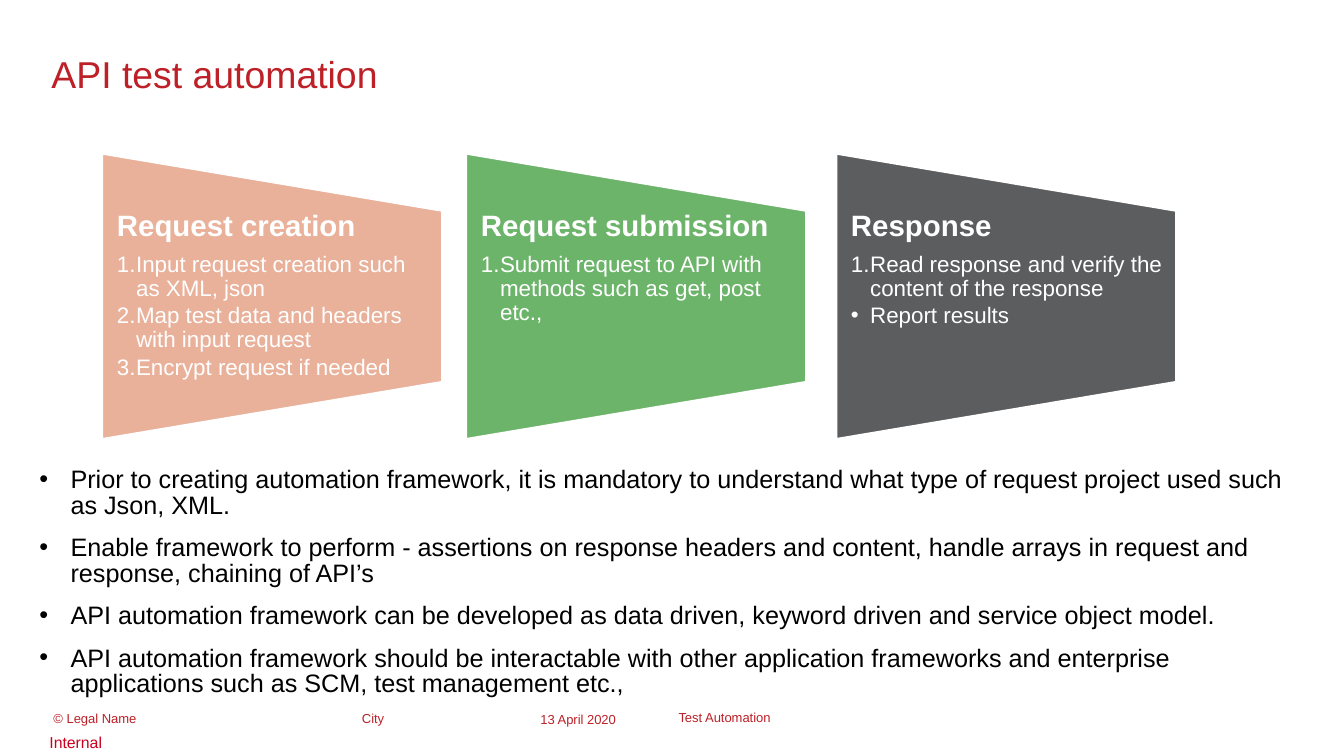
from dataclasses import dataclass
from lxml import etree
from pptx import Presentation
from pptx.dml.color import RGBColor
from pptx.enum.shapes import MSO_SHAPE
from pptx.enum.text import MSO_ANCHOR, MSO_AUTO_SIZE, PP_ALIGN
from pptx.oxml.ns import qn
from pptx.util import Inches, Pt

FUNNEL = MSO_SHAPE.FLOWCHART_MANUAL_OPERATION
TOP, MIDDLE = MSO_ANCHOR.TOP, MSO_ANCHOR.MIDDLE
NO_FIT = MSO_AUTO_SIZE.NONE
LEFT = PP_ALIGN.LEFT
NUMBER, DOT = "1.", "•"


@dataclass(frozen=True)
class Theme:
    face: str = "Arial"
    red: str = "BD2027"
    label: str = "CA001F"
    white: str = "FFFFFF"
    black: str = "000000"
    peach: str = "E9B09A"
    green: str = "6DB46B"
    grey: str = "5C5D5F"
    title: float = 26.7
    head: float = 21
    item: float = 16
    body: float = 18
    foot: float = 9.3
    mark: float = 11.3


THEME = Theme()


def style(size, color, bold=False, space=0, line=1.0, bullet=None, indent=(0, 0)):
    return {
        "font": {"name": THEME.face, "size": Pt(size), "bold": bold},
        "para": {"alignment": LEFT, "space_before": Pt(0),
                 "space_after": Pt(space), "line_spacing": line},
        "color": color, "bullet": bullet, "indent": indent,
    }


TITLE = style(THEME.title, THEME.red)
HEAD = style(THEME.head, THEME.white, bold=True, space=7.4, line=0.9)
STEP = style(THEME.item, THEME.white, space=2.4, line=0.9,
             bullet=NUMBER, indent=(0.19, -0.19))
POINT = {**STEP, "bullet": DOT}
BODY = style(THEME.body, THEME.black, space=12, line=0.85,
             bullet=DOT, indent=(0.37, -0.31))
FOOT = style(THEME.foot, THEME.red)
LEGAL = style(THEME.foot, THEME.red, line=0.96, indent=(0.02, 0))
MARK = style(THEME.mark, THEME.label)

# Left edge, colour, heading and items of each stage
STAGES = [
    (1.01, THEME.peach, "Request creation", [
        ("Input request creation such as XML, json", STEP),
        ("Map test data and headers with input request", STEP),
        ("Encrypt request if needed", STEP)]),
    (4.62, THEME.green, "Request submission", [
        ("Submit request to API with methods such as get, post etc.,", STEP)]),
    (8.29, THEME.grey, "Response", [
        ("Read response and verify the content of the response", STEP),
        ("Report results", POINT)]),
]

NOTES = [
    "Prior to creating automation framework, it is mandatory to understand "
    "what type of request project used such as Json, XML.",
    "Enable framework to perform - assertions on response headers and content, "
    "handle arrays in request and response, chaining of API’s",
    "API automation framework can be developed as data driven, keyword driven "
    "and service object model.",
    "API automation framework should be interactable with other application "
    "frameworks and enterprise applications such as SCM, test management etc.,",
]

# Text, left, width, style and anchor of each footer part
FOOTER = [
    ("© Legal Name", 0.51, 2.88, LEGAL, TOP),
    ("City", 3.57, 1.64, LEGAL, TOP),
    ("13 April 2020", 5.36, 1.17, FOOT, TOP),
    ("Test Automation", 6.73, 4.22, FOOT, MIDDLE),
]


def assign(target, values):
    for name, value in values.items():
        setattr(target, name, value)


def set_bullet(para, kind, indent):
    props = para._p.get_or_add_pPr()
    for name, value in zip(("marL", "indent"), indent):
        props.set(name, str(Inches(value)))
    if kind == NUMBER:
        etree.SubElement(props, qn("a:buAutoNum"), type="arabicPeriod")
    elif kind:
        etree.SubElement(props, qn("a:buFont"), typeface=THEME.face)
        etree.SubElement(props, qn("a:buChar"), char=kind)


def write(frame, lines, inset=(0, 0, 0, 0), anchor=TOP):
    left, top, right, bottom = map(Inches, inset)
    assign(frame, {"word_wrap": True, "auto_size": NO_FIT,
                   "vertical_anchor": anchor,
                   "margin_left": left, "margin_top": top,
                   "margin_right": right, "margin_bottom": bottom})
    for i, (text, look) in enumerate(lines):
        para = frame.add_paragraph() if i else frame.paragraphs[0]
        run = para.add_run()
        run.text = text
        assign(para, look["para"])
        assign(run.font, look["font"])
        run.font.color.rgb = RGBColor.from_string(look["color"])
        set_bullet(para, look["bullet"], look["indent"])


def add_text(slide, box, lines, **frame):
    shape = slide.shapes.add_textbox(*map(Inches, box))
    write(shape.text_frame, lines, **frame)


def add_title(slide, text):
    title = slide.shapes.title
    assign(title, {"left": Inches(0.51), "top": Inches(0.51),
                   "width": Inches(12.23), "height": Inches(0.68)})
    write(title.text_frame, [(text, TITLE)])


def add_stage(slide, left, color, head, items):
    width, height, mid = 3.38, 2.84, 2.94
    # The funnel is turned on its side, so its sides swap about the centre
    box = (left + (width - height) / 2, mid - width / 2, height, width)
    funnel = slide.shapes.add_shape(FUNNEL, *map(Inches, box))
    funnel.rotation = 270
    funnel.shadow.inherit = False
    funnel.fill.solid()
    funnel.fill.fore_color.rgb = RGBColor.from_string(color)
    funnel.line.color.rgb = RGBColor.from_string(THEME.white)
    funnel.line.width = Pt(2)
    add_text(slide, (left, 2.09, width, 1.7), [(head, HEAD), *items],
             inset=(0.15, 0, 0.14, 0))


def main():
    deck = Presentation()
    deck.slide_width, deck.slide_height = Inches(13.33), Inches(7.5)
    slide = deck.slides.add_slide(deck.slide_layouts[5])

    # Title and the three stages
    add_title(slide, "API test automation")
    for stage in STAGES:
        add_stage(slide, *stage)

    # Notes below the stages
    add_text(slide, (0.33, 4.54, 12.66, 2.48), [(note, BODY) for note in NOTES],
             inset=(0, 0.1, 0, 0.05))

    # Footer
    for text, left, width, look, anchor in FOOTER:
        add_text(slide, (left, 7.06, width, 0.12), [(text, look)], anchor=anchor)
    add_text(slide, (0, 7.22, 13.33, 0.28), [("Internal", MARK)],
             inset=(0.49, 0.05, 0.1, 0.05))

    deck.save("out.pptx")


if __name__ == "__main__":
    main()
